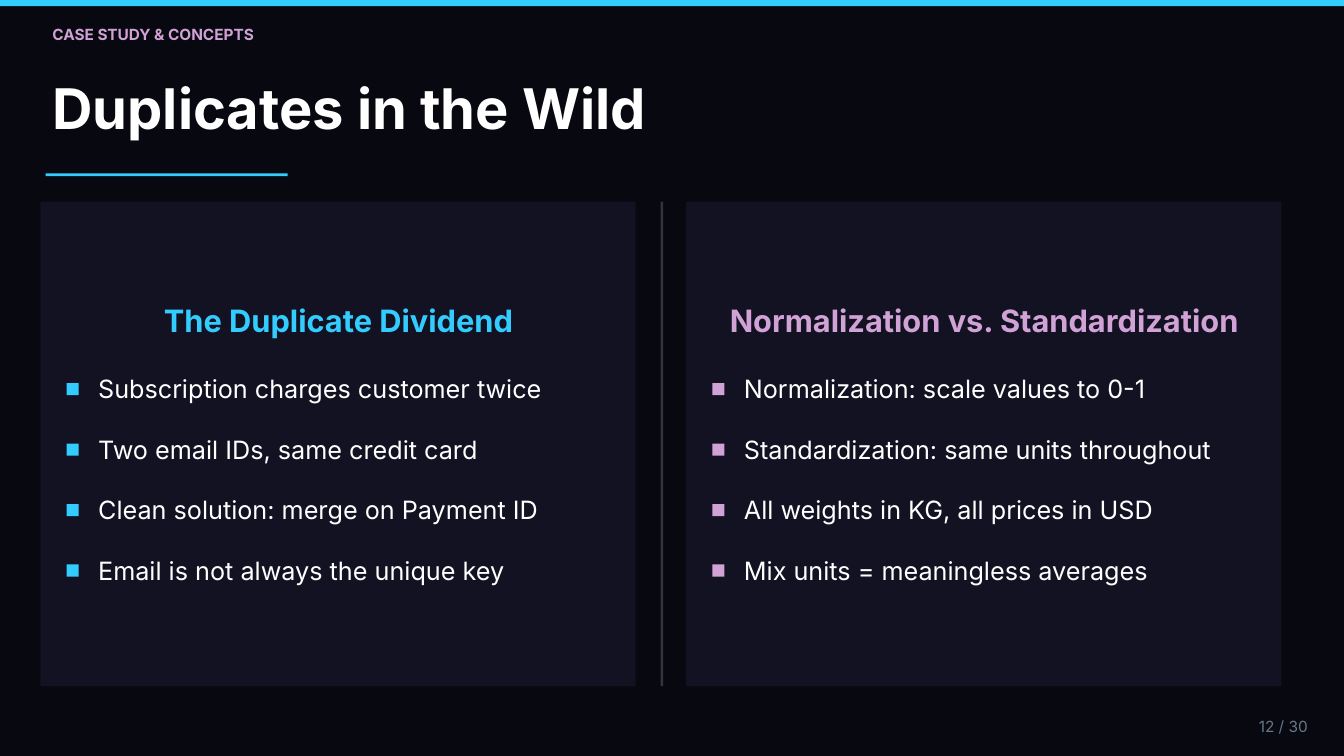
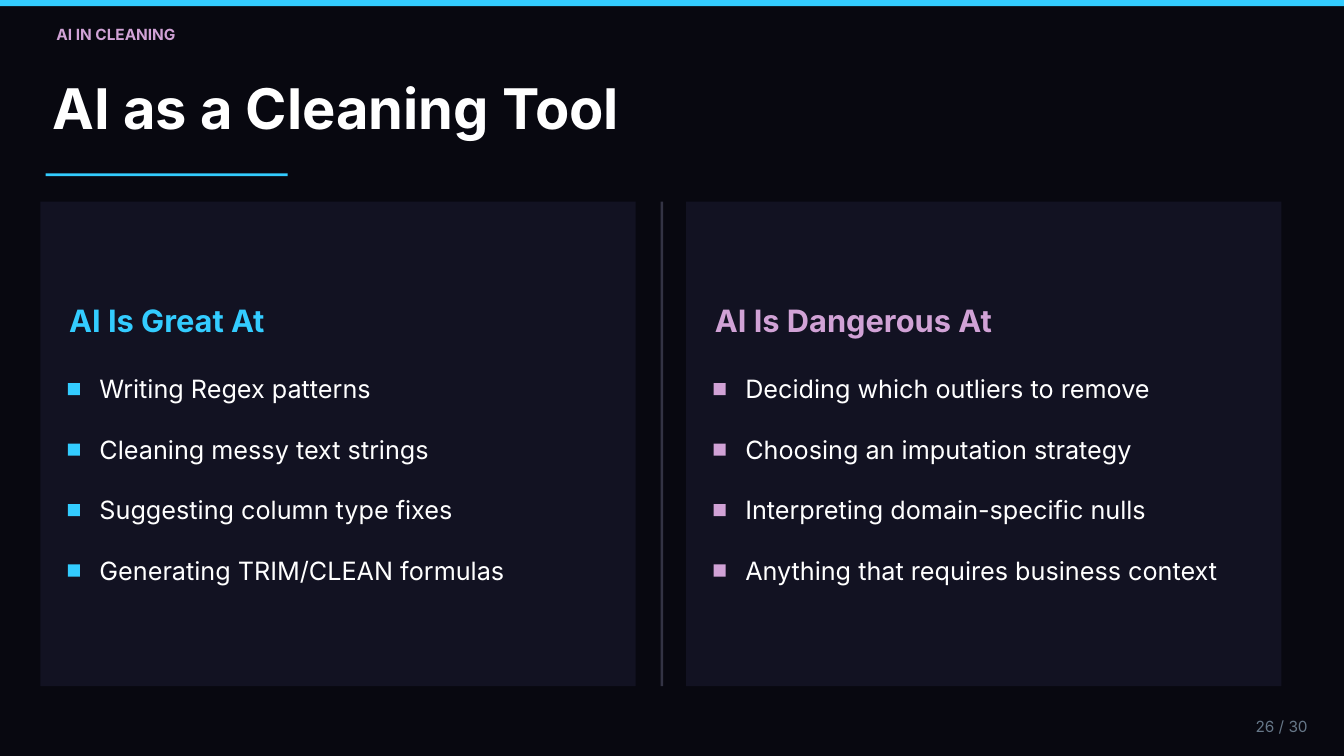
import pptx
import pptx.util
import pptx.dml.color
import pptx.enum.shapes
import pptx.enum.text

Inches = pptx.util.Inches
Pt = pptx.util.Pt
ALIGN = pptx.enum.text.PP_ALIGN

# Shared style
FONT = "Inter"
DARK, PANEL, RULE = "080810", "121222", "333344"
CYAN, PINK, WHITE, GREY = "33CCFF", "D1A2D6", "FFFFFF", "667788"
LEADING = 1.2
TOTAL = 30

# Shared layout, in inches
MARGIN = 0.78
TOP, HEIGHT, WIDTH = 3, 7.21, 8.86
LEFTS = (0.6, 10.21)
FIRST, STEP = 5.56, 0.9


def color(code):
    return pptx.dml.color.RGBColor.from_string(code)


class Deck:
    def __init__(self):
        self.prs = pptx.Presentation()
        self.prs.slide_width = Inches(20)
        self.prs.slide_height = Inches(11.25)
        self.slide = None

    def rect(self, left, top, width, height, fill):
        box = self.slide.shapes.add_shape(
            pptx.enum.shapes.MSO_SHAPE.RECTANGLE,
            Inches(left), Inches(top), Inches(width), Inches(height))
        box.shadow.inherit = False
        box.fill.solid()
        box.fill.fore_color.rgb = color(fill)
        box.line.fill.background()

    def text(self, words, left, top, width, size, ink,
             bold=False, align=ALIGN.LEFT, indent=0):
        height = size * LEADING / 72
        box = self.slide.shapes.add_textbox(
            Inches(left), Inches(top), Inches(width), Inches(height))
        frame = box.text_frame
        frame.margin_left = Inches(indent)
        frame.margin_top = frame.margin_right = frame.margin_bottom = 0
        frame.word_wrap = True
        frame.auto_size = pptx.enum.text.MSO_AUTO_SIZE.SHAPE_TO_FIT_TEXT
        frame.text = words
        para = frame.paragraphs[0]
        para.alignment = align
        para.line_spacing = Pt(size * LEADING)
        font = para.runs[0].font
        font.name, font.size, font.bold = FONT, Pt(size), bold
        font.color.rgb = color(ink)

    def start(self, tag, title, number, indent=0):
        """Add a slide with the top band, title and page number."""
        self.slide = self.prs.slides.add_slide(self.prs.slide_layouts[6])
        back = self.slide.background.fill
        back.solid()
        back.fore_color.rgb = color(DARK)
        self.rect(0, 0, 20, 0.09, CYAN)
        self.text(tag, MARGIN, 0.37, 11.81, 16.5, PINK, True, indent=indent)
        self.text(title, MARGIN, 1.1, 17.81, 60, WHITE, True)
        self.rect(0.68, 2.58, 3.6, 0.04, CYAN)
        self.text(f"{number} / {TOTAL}", 18.01, 10.67, 1.45, 16.5, GREY,
                  align=ALIGN.RIGHT)

    def panels(self):
        for left in LEFTS:
            self.rect(left, TOP, WIDTH, HEIGHT, PANEL)
        self.rect(9.83, TOP, 0.04, HEIGHT, RULE)

    def column(self, left, head, items, ink, align):
        """Write a heading and a list with square markers."""
        self.text(head, left + 0.02, 4.49, 8.06, 33, ink, True, align)
        for i, item in enumerate(items):
            top = FIRST + i * STEP
            self.rect(left, top + 0.14, 0.18, 0.18, ink)
            self.text(item, left + 0.47, top, 7.61, 27, WHITE)

    def compare(self, inset, align, columns):
        self.panels()
        for left, ink, (head, items) in zip(LEFTS, (CYAN, PINK), columns):
            self.column(left + inset, head, items, ink, align)


def main():
    deck = Deck()

    # Duplicates and units
    deck.start("CASE STUDY & CONCEPTS", "Duplicates in the Wild", 12)
    deck.compare(0.39, ALIGN.CENTER, [
        ("The Duplicate Dividend", [
            "Subscription charges customer twice",
            "Two email IDs, same credit card",
            "Clean solution: merge on Payment ID",
            "Email is not always the unique key"]),
        ("Normalization vs. Standardization", [
            "Normalization: scale values to 0-1",
            "Standardization: same units throughout",
            "All weights in KG, all prices in USD",
            "Mix units = meaningless averages"]),
    ])

    # Strengths and risks of AI
    deck.start("AI IN CLEANING", "AI as a Cleaning Tool", 26, indent=0.06)
    deck.compare(0.41, ALIGN.LEFT, [
        ("AI Is Great At", [
            "Writing Regex patterns",
            "Cleaning messy text strings",
            "Suggesting column type fixes",
            "Generating TRIM/CLEAN formulas"]),
        ("AI Is Dangerous At", [
            "Deciding which outliers to remove",
            "Choosing an imputation strategy",
            "Interpreting domain-specific nulls",
            "Anything that requires business context"]),
    ])

    deck.prs.save("out.pptx")


if __name__ == "__main__":
    main()
